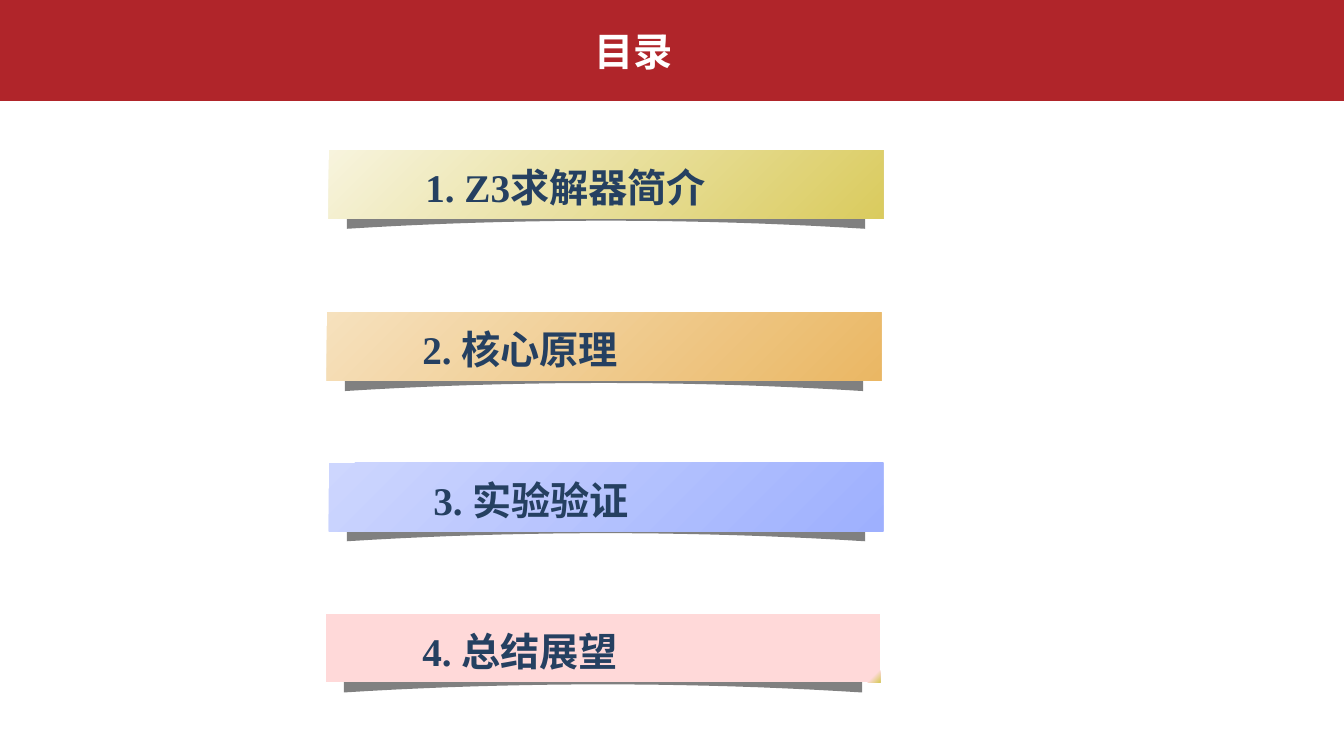
import pptx
import pptx.util
import pptx.dml.color
import pptx.enum.shapes
import pptx.enum.text
from dataclasses import dataclass

Inches = pptx.util.Inches
RGBColor = pptx.dml.color.RGBColor
RECTANGLE = pptx.enum.shapes.MSO_SHAPE.RECTANGLE


@dataclass(frozen=True)
class Theme:
    band: str = "B0252A"
    heading: str = "FFFFFF"
    label: str = "254061"
    shadow: str = "808080"
    heading_font: str = "Arial"
    label_font: str = "Times New Roman"
    size: int = 28
    yellow: tuple = ((0, "F7F4DD"), (1, "DACB5E"))
    orange: tuple = ((0, "F6E1BD"), (1, "EAB764"))
    blue: tuple = ((0, "CDD6FE"), (1, "9EB0FE"))
    pink: tuple = ((0.98, "FFD9D9"), (1, "DACB5E"))


theme = Theme()


def write_text(shape, text, font_name, color):
    frame = shape.text_frame
    frame.text = text
    frame.word_wrap = True
    frame.auto_size = pptx.enum.text.MSO_AUTO_SIZE.NONE
    frame.vertical_anchor = pptx.enum.text.MSO_ANCHOR.MIDDLE
    paragraph = frame.paragraphs[0]
    paragraph.font.name = font_name
    paragraph.font.size = pptx.util.Pt(theme.size)
    paragraph.font.bold = True
    paragraph.font.color.rgb = RGBColor.from_string(color)
    return paragraph


presentation = pptx.Presentation()
presentation.slide_width = Inches(13.33)
presentation.slide_height = Inches(7.5)
slide = presentation.slides.add_slide(presentation.slide_layouts[5])

band = slide.shapes.add_shape(RECTANGLE, 0, 0, Inches(13.33), Inches(1))
band.shadow.inherit = False
band.fill.solid()
band.fill.fore_color.rgb = RGBColor.from_string(theme.band)
band.line.color.rgb = RGBColor.from_string(theme.band)
band.line.width = pptx.util.Pt(1)

title = slide.shapes.title
title.left, title.top = Inches(2.87), Inches(0)
title.width, title.height = Inches(6.83), Inches(1)
heading = write_text(title, "目录", theme.heading_font, theme.heading)
heading.alignment = pptx.enum.text.PP_ALIGN.CENTER
title.element.addprevious(band.element)

chapters = [
    ("1. Z3求解器简介", 3.26, 1.49, 4.12, 3.82, theme.yellow),
    ("2. 核心原理", 3.24, 3.1, 4.09, 4.06, theme.orange),
    ("3. 实验验证", 3.26, 4.59, 4.2, 5.32, theme.blue),
    ("4. 总结展望", 3.23, 6.09, 4.09, 3.82, theme.pink),
]
half_width = 2.57
curve_steps = [step / 10 for step in range(10, -11, -1)]

for text, left, top, label_left, label_width, stops in chapters:
    center = left + 0.18 + half_width
    shadow_top = top + 0.45
    outline = [
        (center + half_width * step, shadow_top + 0.25 + 0.08 * step**2)
        for step in curve_steps
    ]
    outline += [
        (center - half_width, shadow_top + 0.08),
        (center, shadow_top),
        (center + half_width, shadow_top + 0.08),
    ]
    points = [(Inches(x), Inches(y)) for x, y in outline]
    builder = slide.shapes.build_freeform(*points[0])
    builder.add_line_segments(points[1:], close=True)
    curl = builder.convert_to_shape()
    curl.shadow.inherit = False
    curl.fill.solid()
    curl.fill.fore_color.rgb = RGBColor.from_string(theme.shadow)
    curl.line.fill.background()

    banner = slide.shapes.add_shape(
        RECTANGLE, Inches(left), Inches(top), Inches(5.5), Inches(0.68)
    )
    banner.shadow.inherit = False
    banner.line.fill.background()
    banner.fill.gradient()
    banner.fill.gradient_angle = 315
    for gradient_stop, (position, color) in zip(banner.fill.gradient_stops, stops):
        gradient_stop.position = position
        gradient_stop.color.rgb = RGBColor.from_string(color)

    label = slide.shapes.add_textbox(
        Inches(label_left), Inches(top + 0.08), Inches(label_width), Inches(0.57)
    )
    write_text(label, text, theme.label_font, theme.label)

presentation.save("out.pptx")
